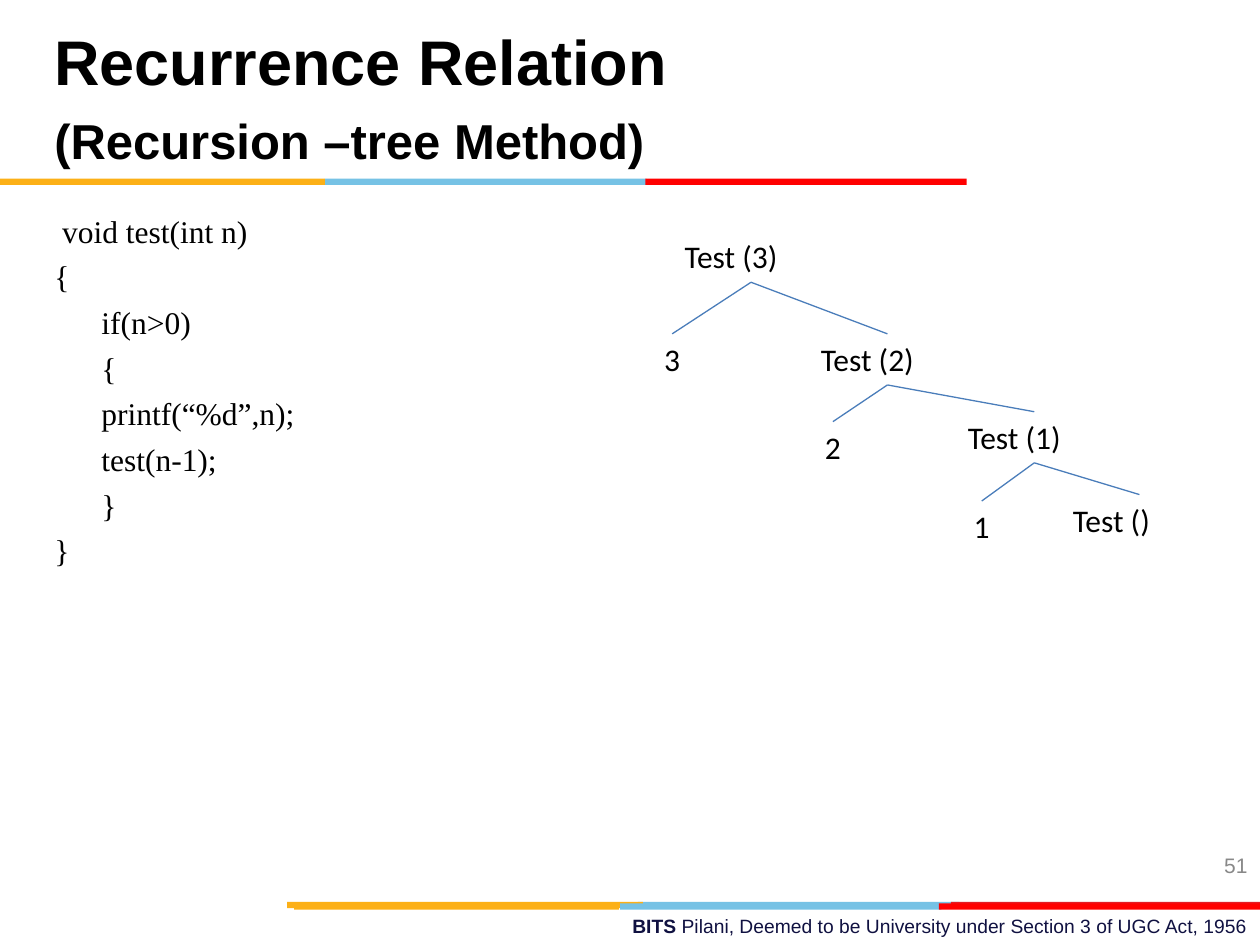
from lxml import etree
from pptx import Presentation
from pptx.dml.color import RGBColor
from pptx.enum import shapes, text
from pptx.oxml import ns
from pptx.util import Cm, Pt

BLACK = RGBColor(0x00, 0x00, 0x00)
GREY = RGBColor(0x88, 0x88, 0x88)
NAVY = RGBColor(0x10, 0x11, 0x41)
ORANGE = RGBColor(0xFC, 0xB0, 0x17)
SKY = RGBColor(0x76, 0xC2, 0xE5)
CRIMSON = RGBColor(0xE3, 0x1C, 0x24)
RED = RGBColor(0xFF, 0x00, 0x00)
BRANCH = RGBColor(0x4A, 0x7D, 0xBA)

# heading line, size, line spacing
HEADING = [("Recurrence Relation", 36, 0.9), ("(Recursion –tree Method)", 28, 1.19)]
CODE = [
    " void test(int n)",
    "{",
    "\tif(n>0)",
    "\t{",
    "\tprintf(“%d”,n);",
    "\ttest(n-1);",
    "\t}",
    "}",
]
FOOTER = [("BITS ", True),
          ("Pilani, Deemed to be University under Section 3 of UGC Act, 1956", False)]
PAGE = "51"

# call or printed value: left, top, parent call (cm)
TREE = {
    "Test (3)": (13.55, 4.66, None),
    "Test (2)": (16.3, 6.73, "Test (3)"),
    "3": (11.96, 6.73, "Test (3)"),
    "Test (1)": (19.26, 8.3, "Test (2)"),
    "2": (15.2, 8.5, "Test (2)"),
    "Test ()": (21.38, 9.97, "Test (1)"),
    "1": (18.2, 10.1, "Test (1)"),
}
NODE_SIZE = (3.18, 1.03)

# top of a stripe, then its bars: left, width, colour (cm)
STRIPES = [
    (18.18, [(12.86, 6.48, SKY), (19.17, 6.23, CRIMSON), (5.79, 7.17, ORANGE)]),
    (18.21, [(12.5, 6.48, SKY), (5.93, 6.55, ORANGE), (18.93, 6.47, RED)]),
    (3.6, [(6.55, 6.48, SKY), (0, 6.55, ORANGE), (13.01, 6.48, RED)]),
]
STRIPE_HEIGHT = 0.13


def set_font(font, name, size, color, bold=False):
    values = {"name": name, "size": Pt(size), "bold": bold}
    for key, value in values.items():
        setattr(font, key, value)
    font.color.rgb = color


def place(shape, left, top, width, height):
    box = {"left": left, "top": top, "width": width, "height": height}
    for key, value in box.items():
        setattr(shape, key, Cm(value))


def add_label(slide, box, align, anchor=text.MSO_ANCHOR.TOP):
    """Add a wrapping text box and return it with its first paragraph."""
    label = slide.shapes.add_textbox(*(Cm(value) for value in box))
    label.text_frame.word_wrap = True
    label.text_frame.vertical_anchor = anchor
    paragraph = label.text_frame.paragraphs[0]
    paragraph.alignment = align
    return label, paragraph


def add_stripes(slide):
    for top, bars in STRIPES:
        for left, width, color in bars:
            bar = slide.shapes.add_shape(
                shapes.MSO_SHAPE.RECTANGLE,
                Cm(left), Cm(top), Cm(width), Cm(STRIPE_HEIGHT))
            bar.shadow.inherit = False
            bar.fill.solid()
            bar.fill.fore_color.rgb = color
            bar.line.fill.background()


def add_paragraphs(frame, lines):
    """Fill a placeholder with one paragraph per line and yield them."""
    frame.auto_size = text.MSO_AUTO_SIZE.NONE
    for index, line in enumerate(lines):
        paragraph = frame.paragraphs[0] if index == 0 else frame.add_paragraph()
        paragraph.add_run().text = line
        paragraph.alignment = text.PP_ALIGN.LEFT
        paragraph.space_before = Pt(0)
        yield paragraph


def fill_heading(title):
    place(title, 0.84, 0.43, 17.58, 3.18)
    title.text_frame.vertical_anchor = text.MSO_ANCHOR.MIDDLE
    lines = [line for line, _, _ in HEADING]
    for paragraph, (_, size, spacing) in zip(add_paragraphs(title.text_frame, lines), HEADING):
        paragraph.line_spacing = spacing
        set_font(paragraph.runs[0].font, "Arial", size, BLACK, True)


def fill_code(body):
    place(body, 0.84, 4.14, 12.7, 12.57)
    for index, paragraph in enumerate(add_paragraphs(body.text_frame, CODE)):
        if index:
            paragraph.space_before = Pt(4.5)
        properties = paragraph._p.get_or_add_pPr()
        properties.set("marL", str(Cm(0.95)))
        properties.set("indent", str(Cm(-0.95)))
        etree.SubElement(properties, ns.qn("a:buNone"))
        set_font(paragraph.runs[0].font, "Times New Roman", 18, BLACK)


def add_tree(slide):
    nodes = {}
    for name, (left, top, parent) in TREE.items():
        align = text.PP_ALIGN.CENTER if name.isdigit() else text.PP_ALIGN.LEFT
        nodes[name], paragraph = add_label(slide, (left, top, *NODE_SIZE), align)
        run = paragraph.add_run()
        run.text = name
        set_font(run.font, "Calibri", 18, BLACK)
        if parent is None:
            continue
        branch = slide.shapes.add_connector(shapes.MSO_CONNECTOR.STRAIGHT, 0, 0, 0, 0)
        branch.begin_connect(nodes[parent], 2)
        branch.end_connect(nodes[name], 0)
        branch.line.color.rgb = BRANCH
        branch.line.width = Pt(0.75)
        etree.SubElement(branch._element.spPr, ns.qn("a:effectLst"))


def add_footer(slide):
    _, paragraph = add_label(slide, (9.09, 18.31, 16.31, 0.74), text.PP_ALIGN.RIGHT)
    for words, bold in FOOTER:
        run = paragraph.add_run()
        run.text = words
        set_font(run.font, "Arial", 11, NAVY, bold)

    _, paragraph = add_label(slide, (19.48, 16.94, 5.92, 1.02), text.PP_ALIGN.RIGHT,
                             text.MSO_ANCHOR.MIDDLE)
    run = paragraph.add_run()
    run.text = PAGE
    set_font(run.font, "Arial", 12, GREY)


def main():
    deck = Presentation()
    deck.slide_width, deck.slide_height = Cm(25.4), Cm(19.05)
    slide = deck.slides.add_slide(deck.slide_layouts[1])
    fill_heading(slide.shapes.title)
    fill_code(slide.placeholders[1])
    add_stripes(slide)
    add_tree(slide)
    add_footer(slide)
    deck.save("out.pptx")


if __name__ == "__main__":
    main()
